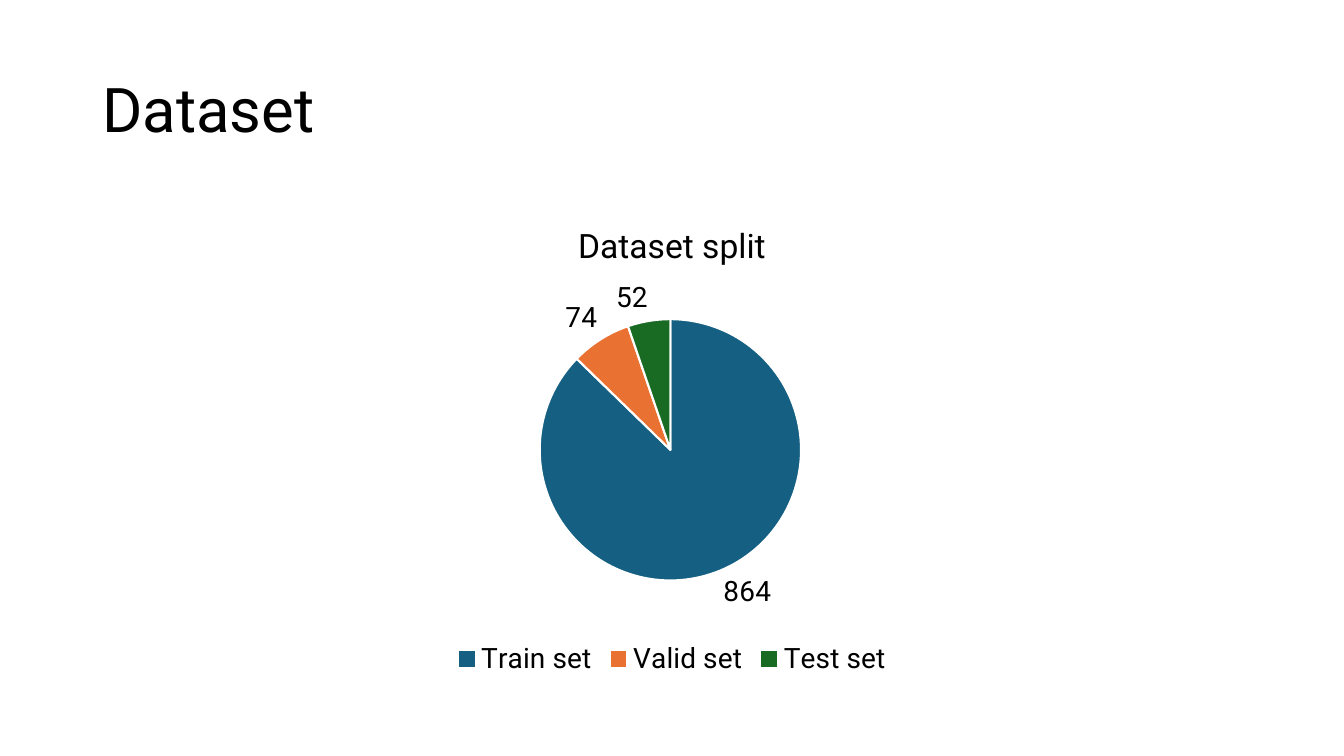
from dataclasses import dataclass

from lxml.etree import SubElement
from pptx import Presentation
from pptx.chart.chart import Chart
from pptx.chart.data import CategoryChartData
from pptx.dml.color import RGBColor
from pptx.enum.chart import XL_CHART_TYPE, XL_LABEL_POSITION, XL_LEGEND_POSITION
from pptx.enum.text import MSO_ANCHOR, PP_ALIGN
from pptx.oxml.ns import qn
from pptx.text.text import Font
from pptx.util import Pt

SCALE = 9525
FACE = "Roboto"
COLORS = {
    "text": "000000",
    "edge": "FFFFFF",
    "train": "156082",
    "valid": "E97132",
    "test": "196B24",
}


@dataclass
class Box:
    """A frame in px."""

    left: int
    top: int
    width: int
    height: int

    def emu(self) -> tuple[int, int, int, int]:
        """Return the frame in EMU."""
        return (self.left * SCALE, self.top * SCALE,
                self.width * SCALE, self.height * SCALE)


@dataclass
class Slice:
    """One part of the dataset."""

    name: str
    count: int
    color: str


TITLE = Box(88, 38, 1104, 139)
CHART = Box(88, 192, 1104, 457)
PIE = Box(514, 304, 249, 249)
SLICES = [
    Slice("Train set", 864, "train"),
    Slice("Valid set", 74, "valid"),
    Slice("Test set", 52, "test"),
]


def paint(name: str) -> RGBColor:
    """Look up a named colour."""
    return RGBColor.from_string(COLORS[name])


def style(font: Font, size: int) -> None:
    """Apply the slide's typeface and text colour."""
    font.name = FACE
    font.size = Pt(size)
    font.bold = False
    font.color.rgb = paint("text")


def place(chart: Chart, frame: Box, pie: Box) -> None:
    """Fix the pie's place within the chart frame."""
    area = chart._chartSpace.chart.plotArea
    for old in area.findall(qn("c:layout")):
        area.remove(old)
    layout = SubElement(area, qn("c:layout"))
    area.insert(0, layout)
    manual = SubElement(layout, qn("c:manualLayout"))
    parts = {
        "layoutTarget": "inner",
        "xMode": "edge",
        "yMode": "edge",
        "x": (pie.left - frame.left) / frame.width,
        "y": (pie.top - frame.top) / frame.height,
        "w": pie.width / frame.width,
        "h": pie.height / frame.height,
    }
    for tag, value in parts.items():
        SubElement(manual, qn(f"c:{tag}")).set("val", str(value))


def draw_title(shape, text: str) -> None:
    """Move, fill and format the title placeholder."""
    shape.left, shape.top, shape.width, shape.height = TITLE.emu()
    frame = shape.text_frame
    frame.text = text
    frame.vertical_anchor = MSO_ANCHOR.MIDDLE
    para = frame.paragraphs[0]
    para.alignment = PP_ALIGN.LEFT
    para.line_spacing = 0.9
    style(para.runs[0].font, 44)


def draw_pie(shapes, text: str) -> None:
    """Add the pie chart with title, legend and value labels."""
    data = CategoryChartData()
    data.categories = [part.name for part in SLICES]
    data.add_series("Series 1", [part.count for part in SLICES])
    chart = shapes.add_chart(XL_CHART_TYPE.PIE, *CHART.emu(), data).chart
    style(chart.font, 20)

    chart.has_title = True
    head = chart.chart_title
    head.include_in_layout = False
    head.text_frame.text = text
    style(head.text_frame.paragraphs[0].runs[0].font, 24)

    chart.has_legend = True
    chart.legend.position = XL_LEGEND_POSITION.BOTTOM
    chart.legend.include_in_layout = False
    style(chart.legend.font, 20)

    plot = chart.plots[0]
    plot.vary_by_categories = True
    plot.has_data_labels = True
    labels = plot.data_labels
    labels.show_value = True
    labels.show_percentage = False
    labels.position = XL_LABEL_POSITION.OUTSIDE_END
    style(labels.font, 20)
    for index, part in enumerate(SLICES):
        form = plot.series[0].points[index].format
        form.fill.solid()
        form.fill.fore_color.rgb = paint(part.color)
        form.line.color.rgb = paint("edge")
        form.line.width = Pt(1.5)
    place(chart, CHART, PIE)


def main() -> None:
    """Build and save the slide."""
    deck = Presentation()
    deck.slide_width, deck.slide_height = 1280 * SCALE, 720 * SCALE
    slide = deck.slides.add_slide(deck.slide_layouts[5])
    draw_title(slide.shapes.title, "Dataset")
    draw_pie(slide.shapes, "Dataset split")
    deck.save("out.pptx")


if __name__ == "__main__":
    main()
